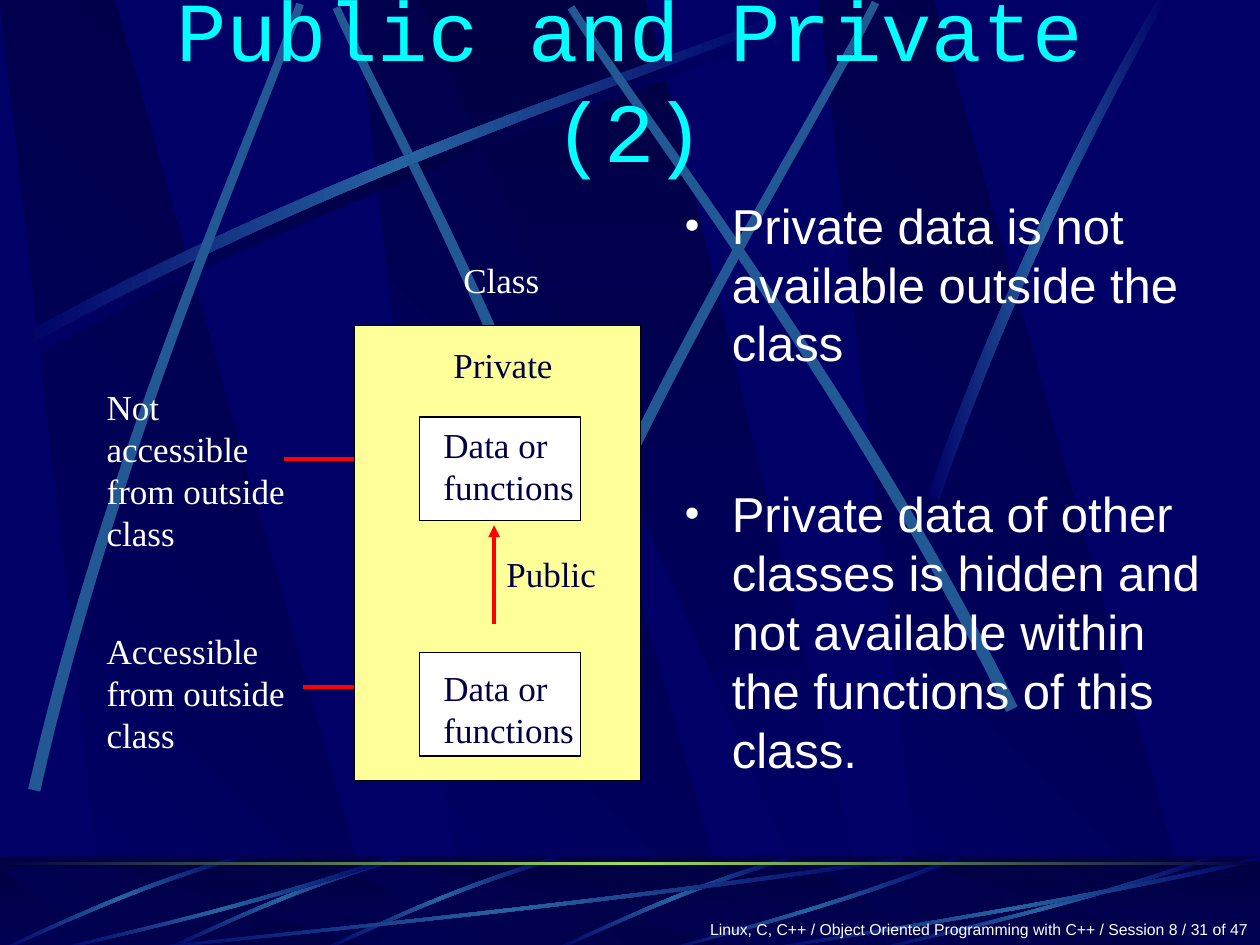
from dataclasses import dataclass
from math import hypot

from lxml.etree import SubElement
from pptx import Presentation
from pptx.dml.color import RGBColor
from pptx.enum.shapes import MSO_CONNECTOR, MSO_SHAPE
from pptx.enum.text import MSO_ANCHOR, MSO_AUTO_SIZE, PP_ALIGN
from pptx.oxml import parse_xml
from pptx.oxml.ns import nsdecls, qn
from pptx.util import Cm, Pt


@dataclass(frozen=True)
class Theme:
    background: str = "000066"
    shade: str = "000044"
    streak: str = "2663A0"
    steady_streak: str = "225894"
    rule: str = "9CE157"
    title: str = "00FFFF"
    white: str = "FFFFFF"
    black: str = "000000"
    class_fill: str = "FFFF99"
    arrow: str = "FF0000"
    title_font: str = "Courier New"
    body_font: str = "Arial"
    label_font: str = "Times New Roman"
    title_size: int = 48
    body_size: int = 28
    label_size: int = 20
    footer_size: int = 9


THEME = Theme()
SLIDE_WIDTH, SLIDE_HEIGHT = 25.4, 19.05
FOOTER_TOP = 17.27
FADE = (THEME.background, THEME.streak, THEME.background)
SHADOW = (THEME.background, THEME.shade, THEME.background)
PANEL = (THEME.shade, THEME.background)
STEADY = (THEME.steady_streak,)


def color(value):
    return RGBColor.from_string(value)


def paint(shape, colors, angle=0):
    shape.shadow.inherit = False
    shape.line.fill.background()
    if len(colors) == 1:
        shape.fill.solid()
        shape.fill.fore_color.rgb = color(colors[0])
        return
    step = 100000 // (len(colors) - 1)
    stops = "".join(
        f'<a:gs pos="{index * step}"><a:srgbClr val="{value}"/></a:gs>'
        for index, value in enumerate(colors)
    )
    gradient = parse_xml(
        f'<a:gradFill {nsdecls("a")} rotWithShape="1"><a:gsLst>{stops}</a:gsLst>'
        f'<a:lin ang="{angle * 60000}" scaled="0"/></a:gradFill>'
    )
    shape.line._get_or_add_ln().addprevious(gradient)


def add_polygon(slide, points, colors, angle=0):
    corners = [(Cm(x), Cm(y)) for x, y in points]
    builder = slide.shapes.build_freeform(*corners[0])
    builder.add_line_segments(corners[1:], close=True)
    shape = builder.convert_to_shape()
    paint(shape, colors, angle)
    return shape


def bend(segments):
    curve = parse_xml(f'<a:cubicBezTo {nsdecls("a")}/>')
    segments[0].addprevious(curve)
    for segment in segments:
        curve.append(segment[0])
        segment.getparent().remove(segment)


def add_streak(slide, controls, colors, start_width, end_width):
    near_edge, far_edge = [], []
    for index, (x, y) in enumerate(controls):
        first = 0 if index < 2 else 2
        (x1, y1), (x2, y2) = controls[first:first + 2]
        width = start_width + (end_width - start_width) * index / 3
        half = width / 2 / hypot(x2 - x1, y2 - y1)
        dx, dy = (x2 - x1) * half, (y2 - y1) * half
        near_edge.append((x - dy, y + dx))
        far_edge.append((x + dy, y - dx))
    shape = add_polygon(slide, near_edge + far_edge[::-1], colors)
    segments = list(shape.element.iter(qn("a:lnTo")))
    bend(segments[:3])
    bend(segments[4:7])


def add_panels(slide, top, bottom):
    for left in (7.19, 0, 16.51):
        points = [(left + 2.18, bottom), (left + 7.67, bottom), (left + 2.31, top), (left, top)]
        add_polygon(slide, points, PANEL, 135)
    add_polygon(slide, [(8.46, top), (16.71, bottom), (17.63, bottom), (13.03, top)], PANEL, 90)


def add_rectangle(slide, left, top, width, height, colors, angle=0, outlined=False):
    shape = slide.shapes.add_shape(
        MSO_SHAPE.RECTANGLE, Cm(left), Cm(top), Cm(width), Cm(height)
    )
    paint(shape, colors, angle)
    if outlined:
        shape.line.color.rgb = color(THEME.black)
        shape.line.width = Pt(0.75)
    return shape


def add_backdrop(slide):
    add_panels(slide, 0, SLIDE_HEIGHT)
    arc = [(0.41, 6.91), (6.71, 3.41), (13.21, 1.43), (15.8, 0.33)]
    long_streaks = [
        ([(x + 0.15, y + 0.2) for x, y in arc], SHADOW),
        ([(11.61, 11.1), (10.03, 6.25), (7.59, 1.98), (6.78, 0.15)], STEADY),
        (arc, FADE),
        ([(0.69, 15.93), (2.29, 8.92), (5.13, 2.72), (6.05, 0.08)], STEADY),
        ([(9.91, 15.67), (12.5, 8.56), (16.33, 2.67), (17.65, 0.05)], STEADY),
        ([(20.4, 14.3), (17.22, 7.85), (13, 2.49), (11.51, 0.15)], STEADY),
        ([(18.82, 10.03), (20.09, 6.3), (21.89, 2.67), (23.42, 0)], FADE),
    ]
    for controls, colors in long_streaks:
        add_streak(slide, controls, colors, 0.25, 0.16)

    add_rectangle(slide, 0, FOOTER_TOP, SLIDE_WIDTH, 1.9, PANEL, 90)
    add_panels(slide, 17.48, 19.15)
    veil = add_rectangle(slide, 0, FOOTER_TOP - 0.02, SLIDE_WIDTH, 1.9, (THEME.shade,))
    SubElement(veil.element.spPr.find(qn("a:solidFill"))[0], qn("a:alpha"), val="50000")
    for shift in (4.68, 0, -3.18, -6.48):
        controls = [(11.25, 17.3), (9.14, 17.88), (7.29, 18.82), (6.5, 19.15)]
        add_streak(slide, [(x + shift, y) for x, y in controls], FADE, 0.08, 0.06)
    for left, width in ((2.54, 15.67), (1.07, 6.78), (13.39, 5.87), (17.58, 6.78), (15.24, 10.16)):
        profile = ((1, 17.31), (0.58, 18.3), (0.17, 18.87), (0, 19.17))
        add_streak(slide, [(left + width * x, y) for x, y in profile], FADE, 0.08, 0.05)
    add_rectangle(slide, 0, 17.37, SLIDE_WIDTH, 0.06, (THEME.shade, THEME.rule, THEME.shade))


def add_run(paragraph, text, font, size, text_color):
    run = paragraph.add_run()
    run.text = text
    run.font.name = font
    run.font.size = Pt(size)
    run.font.color.rgb = color(text_color)


def add_label(slide, text, left, top, width, height, text_color=THEME.shade):
    box = slide.shapes.add_textbox(Cm(left), Cm(top), Cm(width), Cm(height))
    box.text_frame.word_wrap = True
    paragraph = box.text_frame.paragraphs[0]
    add_run(paragraph, text, THEME.label_font, THEME.label_size, text_color)


def add_footer(slide):
    box = slide.shapes.add_textbox(Cm(0), Cm(18.42), Cm(SLIDE_WIDTH), Cm(0.64))
    box.text_frame.word_wrap = True
    paragraph = box.text_frame.paragraphs[0]
    paragraph.alignment = PP_ALIGN.RIGHT
    text = "Linux, C, C++ / Object Oriented Programming with C++ / Session 8 / 31 of 47"
    add_run(paragraph, text, THEME.body_font, THEME.footer_size, THEME.white)


def move_to_master(slide):
    master = slide.slide_layout.slide_master
    master.background.fill.solid()
    master.background.fill.fore_color.rgb = color(THEME.background)
    for shape in list(slide.shapes):
        if not shape.is_placeholder:
            shape.element.xpath(".//p:cNvPr")[0].set("id", str(shape.shape_id + 100))
            master.shapes.element.append(shape.element)


def add_arrow(slide, start_x, start_y, end_x, end_y):
    arrow = slide.shapes.add_connector(
        MSO_CONNECTOR.STRAIGHT, Cm(start_x), Cm(start_y), Cm(end_x), Cm(end_y)
    )
    arrow.line.color.rgb = color(THEME.arrow)
    arrow.line.width = Pt(2.25)
    SubElement(arrow.line._get_or_add_ln(), qn("a:tailEnd"), type="triangle")
    SubElement(arrow.element.spPr, qn("a:effectLst"))


def place(slide, placeholder, left, top, width, height):
    placeholder.left, placeholder.top = Cm(left), Cm(top)
    placeholder.width, placeholder.height = Cm(width), Cm(height)
    placeholder.text_frame.word_wrap = True
    placeholder.text_frame.auto_size = MSO_AUTO_SIZE.NONE
    slide.shapes.element.append(placeholder.element)
    return placeholder.text_frame


def fill_title(slide):
    frame = place(slide, slide.shapes.title, 1.9, 0.43, 21.59, 2.29)
    frame.vertical_anchor = MSO_ANCHOR.MIDDLE
    paragraph = frame.paragraphs[0]
    paragraph.alignment = PP_ALIGN.CENTER
    add_run(paragraph, "Public and Private (2)", THEME.title_font, THEME.title_size, THEME.title)


def fill_body(slide):
    frame = place(slide, slide.placeholders[1], 13.55, 3.81, 11, 12.27)
    bullets = (
        ("Private data is not available outside the class", 12),
        ("Private data of other classes is hidden and not available "
         "within the functions of this class.", 61),
    )
    for index, (text, space_before) in enumerate(bullets):
        paragraph = frame.add_paragraph() if index else frame.paragraphs[0]
        add_run(paragraph, text, THEME.body_font, THEME.body_size, THEME.white)
        paragraph.space_before, paragraph.space_after = Pt(space_before), Pt(3)
        properties = paragraph._p.get_or_add_pPr()
        properties.set("marL", str(Cm(0.95)))
        properties.set("indent", str(-Cm(0.95)))
        SubElement(properties, qn("a:buSzPct"), val="85000")
        SubElement(properties, qn("a:buChar"), char="•")


def add_class_diagram(slide):
    add_label(slide, "Not accessible from outside class", 1.9, 7.65, 4.32, 2.51, THEME.white)
    add_label(slide, "Accessible from outside class", 1.9, 12.57, 4.32, 2.49, THEME.white)
    add_arrow(slide, 5.72, 9.25, 8.23, 9.25)
    add_arrow(slide, 6.1, 13.84, 8.26, 13.84)
    add_rectangle(slide, 7.15, 6.56, 5.76, 9.17, (THEME.class_fill,), outlined=True)
    add_rectangle(slide, 8.46, 13.16, 3.25, 2.08, (THEME.white,), outlined=True)
    add_label(slide, "Class", 9.09, 5.08, 3.61, 1.24, THEME.white)
    add_rectangle(slide, 8.46, 8.41, 3.25, 2.08, (THEME.white,), outlined=True)
    for top in (8.41, 13.31):
        add_label(slide, "Data or functions", 8.69, top, 3.61, 2.1)
    add_label(slide, "Private", 8.89, 6.81, 2.87, 1.68)
    add_label(slide, "Public", 9.96, 11.02, 2.87, 1.24)
    add_arrow(slide, 9.96, 12.57, 9.96, 10.59)


def main():
    presentation = Presentation()
    presentation.slide_width, presentation.slide_height = Cm(SLIDE_WIDTH), Cm(SLIDE_HEIGHT)
    slide = presentation.slides.add_slide(presentation.slide_layouts[1])
    add_backdrop(slide)
    add_footer(slide)
    move_to_master(slide)
    fill_body(slide)
    add_class_diagram(slide)
    fill_title(slide)
    presentation.save("out.pptx")


if __name__ == "__main__":
    main()
